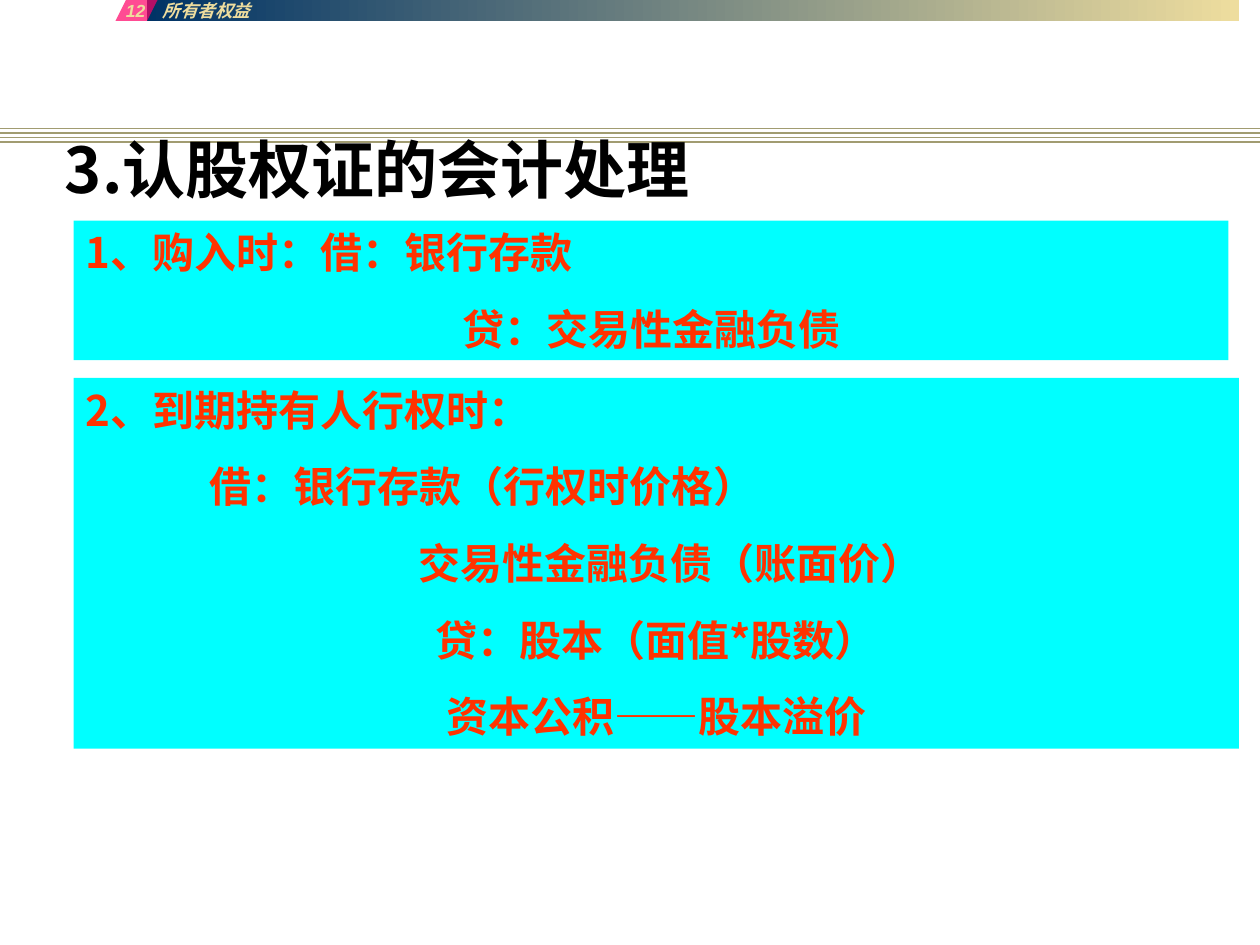
"""Builds a slide on the accounting treatment of stock warrants."""
from dataclasses import dataclass

from lxml import etree
from pptx import Presentation
from pptx.dml.color import RGBColor
from pptx.enum.shapes import MSO_CONNECTOR, MSO_SHAPE
from pptx.enum.text import MSO_ANCHOR, PP_ALIGN
from pptx.oxml.ns import qn
from pptx.util import Emu, Inches, Pt

LEFT, CENTER = PP_ALIGN.LEFT, PP_ALIGN.CENTER
TOP = MSO_ANCHOR.TOP
RECTANGLE, PARALLELOGRAM = MSO_SHAPE.RECTANGLE, MSO_SHAPE.PARALLELOGRAM
STRAIGHT = MSO_CONNECTOR.STRAIGHT

COLORS = {
    "rule": "A19C71",
    "sand": "EEDD9E",
    "navy": "003366",
    "pink": "FF0066",
    "panel": "00FFFF",
    "entry": "FF3300",
    "title": "000000",
}
CJK_FONT = "Noto Sans CJK SC"
HEADER_FONT = "Arial"
SLIDE_WIDTH, SLIDE_HEIGHT = Inches(10), Inches(7.5)
COLUMNS, ROWS = 120, 90
LINE_FACTOR = 1.2
BAR_HEIGHT = 2


@dataclass(frozen=True)
class Area:
    column: float
    row: float
    columns: float
    rows: float


@dataclass(frozen=True)
class Style:
    size: float
    color: str
    font: str = CJK_FONT
    italic: bool = False
    space_before: float = 0


@dataclass(frozen=True)
class Line:
    text: str
    alignment: PP_ALIGN = LEFT
    indent: float = 0


@dataclass(frozen=True)
class Panel:
    area: Area
    lines: tuple[Line, ...]


TITLE_STYLE = Style(36, "title")
ENTRY_STYLE = Style(24, "entry", space_before=15)
HEADER_STYLE = Style(10, "sand", HEADER_FONT, italic=True)

PANELS = (
    Panel(Area(7, 21, 110, 13.3), (
        Line("1、购入时：借：银行存款"),
        Line("贷：交易性金融负债", CENTER),
    )),
    Panel(Area(7, 36, 111, 35.3), (
        Line("2、到期持有人行权时："),
        Line("借：银行存款（行权时价格）", indent=11.8),
        Line("交易性金融负债（账面价）", CENTER, 2.7),
        Line("贷：股本（面值*股数）", CENTER),
        Line("资本公积——股本溢价", CENTER),
    )),
)


def across(columns: float) -> Emu:
    """Turn grid columns into a length."""
    return Emu(round(SLIDE_WIDTH * columns / COLUMNS))


def down(rows: float) -> Emu:
    """Turn grid rows into a length."""
    return Emu(round(SLIDE_HEIGHT * rows / ROWS))


def box(area: Area) -> tuple[Emu, Emu, Emu, Emu]:
    """Return left, top, width and height of an area."""
    return across(area.column), down(area.row), across(area.columns), down(area.rows)


def rgb(name: str) -> RGBColor:
    """Look up a named colour."""
    return RGBColor.from_string(COLORS[name])


def add_rule(slide, row: float) -> None:
    """Draw a thin line across the slide."""
    rule = slide.shapes.add_connector(STRAIGHT, 0, down(row), SLIDE_WIDTH, down(row))
    rule.line.color.rgb = rgb("rule")
    rule.line.width = Pt(0.75)
    etree.SubElement(rule._element.spPr, qn("a:effectLst"))


def add_plain_shape(slide, kind, area: Area, color: str):
    """Draw a filled shape without outline or shadow."""
    shape = slide.shapes.add_shape(kind, *box(area))
    shape.shadow.inherit = False
    shape.line.fill.background()
    shape.fill.solid()
    shape.fill.fore_color.rgb = rgb(color)
    return shape


def write(shape, lines: tuple[Line, ...], style: Style, inset: float = 1.2) -> None:
    """Fill a shape with styled paragraphs."""
    frame = shape.text_frame
    frame.word_wrap = True
    frame.vertical_anchor = TOP
    frame.margin_left = frame.margin_right = across(inset)
    frame.margin_top = frame.margin_bottom = down(inset / 2)
    frame.text = "\n".join(line.text for line in lines)
    for index, (paragraph, line) in enumerate(zip(frame.paragraphs, lines)):
        paragraph.alignment = line.alignment
        paragraph.line_spacing = Pt(style.size * LINE_FACTOR)
        paragraph.space_before = Pt(style.space_before if index else 0)
        paragraph._p.get_or_add_pPr().set("marL", str(across(line.indent)))
        for run in paragraph.runs:
            run.font.name = style.font
            run.font.size = Pt(style.size)
            run.font.bold = True
            run.font.italic = style.italic
            run.font.color.rgb = rgb(style.color)
            east_asian = etree.SubElement(run._r.get_or_add_rPr(), qn("a:ea"))
            east_asian.set("typeface", CJK_FONT)


def add_header(slide) -> None:
    """Draw the chapter bar with its number and name."""
    bar = add_plain_shape(slide, PARALLELOGRAM, Area(14, 0, 104, BAR_HEIGHT), "navy")
    bar.adjustments[0] = -0.43
    bar.fill.gradient()
    bar.fill.gradient_angle = 0
    for stop, color in zip(bar.fill.gradient_stops, ("navy", "sand")):
        stop.color.rgb = rgb(color)
    tag = add_plain_shape(slide, PARALLELOGRAM, Area(11, 0, 4, BAR_HEIGHT), "pink")
    tag.adjustments[0] = 0.5
    tag_color = tag._element.spPr.find(qn("a:solidFill"))[0]
    etree.SubElement(tag_color, qn("a:alpha")).set("val", "70000")
    label = slide.shapes.add_textbox(*box(Area(12, 0, 18, BAR_HEIGHT)))
    write(label, (Line("12\t所有者权益"),), HEADER_STYLE, inset=0)
    properties = label.text_frame.paragraphs[0]._p.get_or_add_pPr()
    tabs = etree.SubElement(properties, qn("a:tabLst"))
    etree.SubElement(tabs, qn("a:tab"), pos=str(across(3.5)), algn="l")


def main() -> None:
    """Build and save the slide."""
    presentation = Presentation()
    presentation.slide_width, presentation.slide_height = SLIDE_WIDTH, SLIDE_HEIGHT
    slide = presentation.slides.add_slide(presentation.slide_layouts[6])
    for index in range(4):
        add_rule(slide, 12.25 + 0.43 * index)
    add_header(slide)
    title = slide.shapes.add_textbox(*box(Area(5, 11.8, 104, 8.4)))
    write(title, (Line("3.认股权证的会计处理"),), TITLE_STYLE)
    for panel in PANELS:
        shape = add_plain_shape(slide, RECTANGLE, panel.area, "panel")
        write(shape, panel.lines, ENTRY_STYLE)
    presentation.save("out.pptx")


if __name__ == "__main__":
    main()
